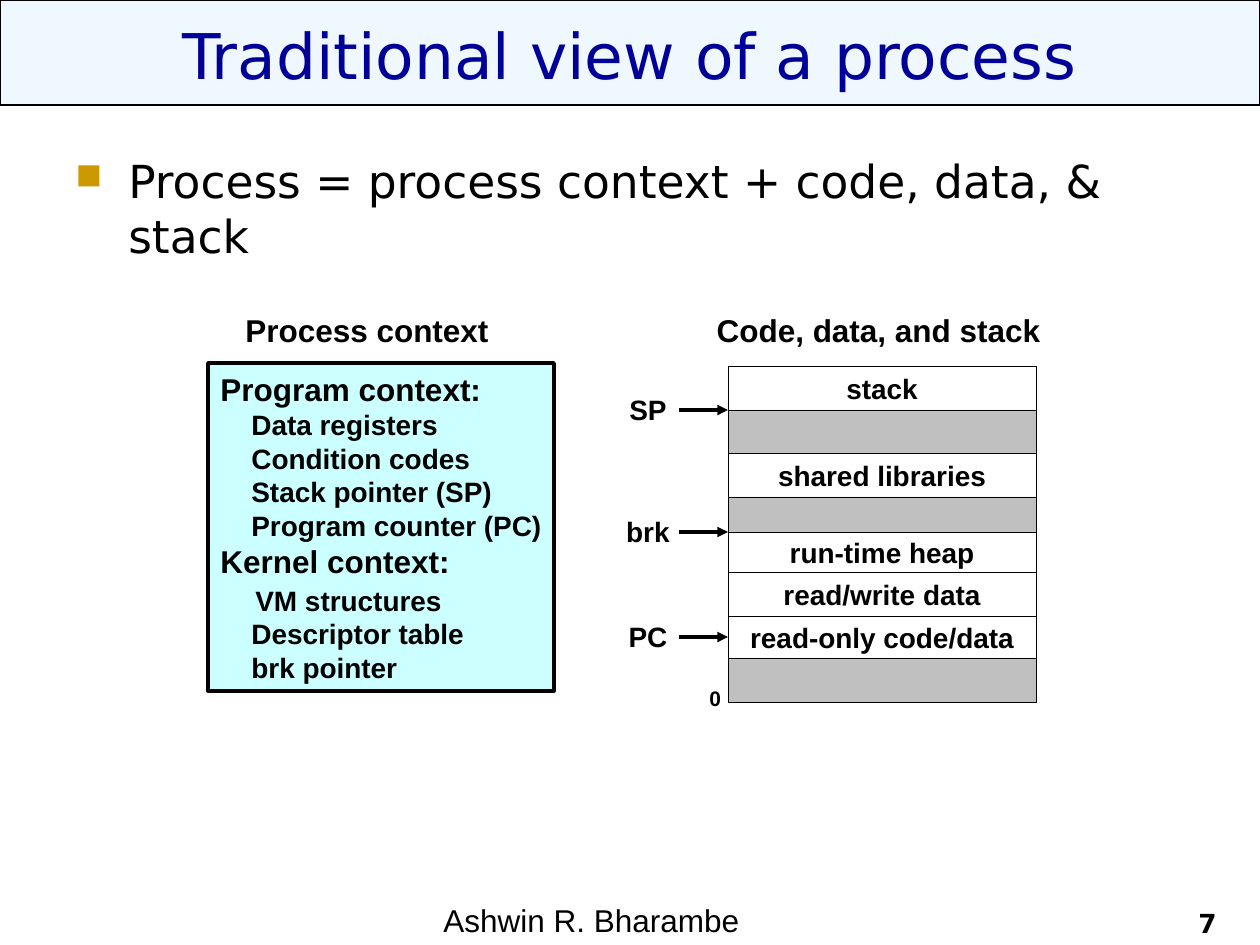
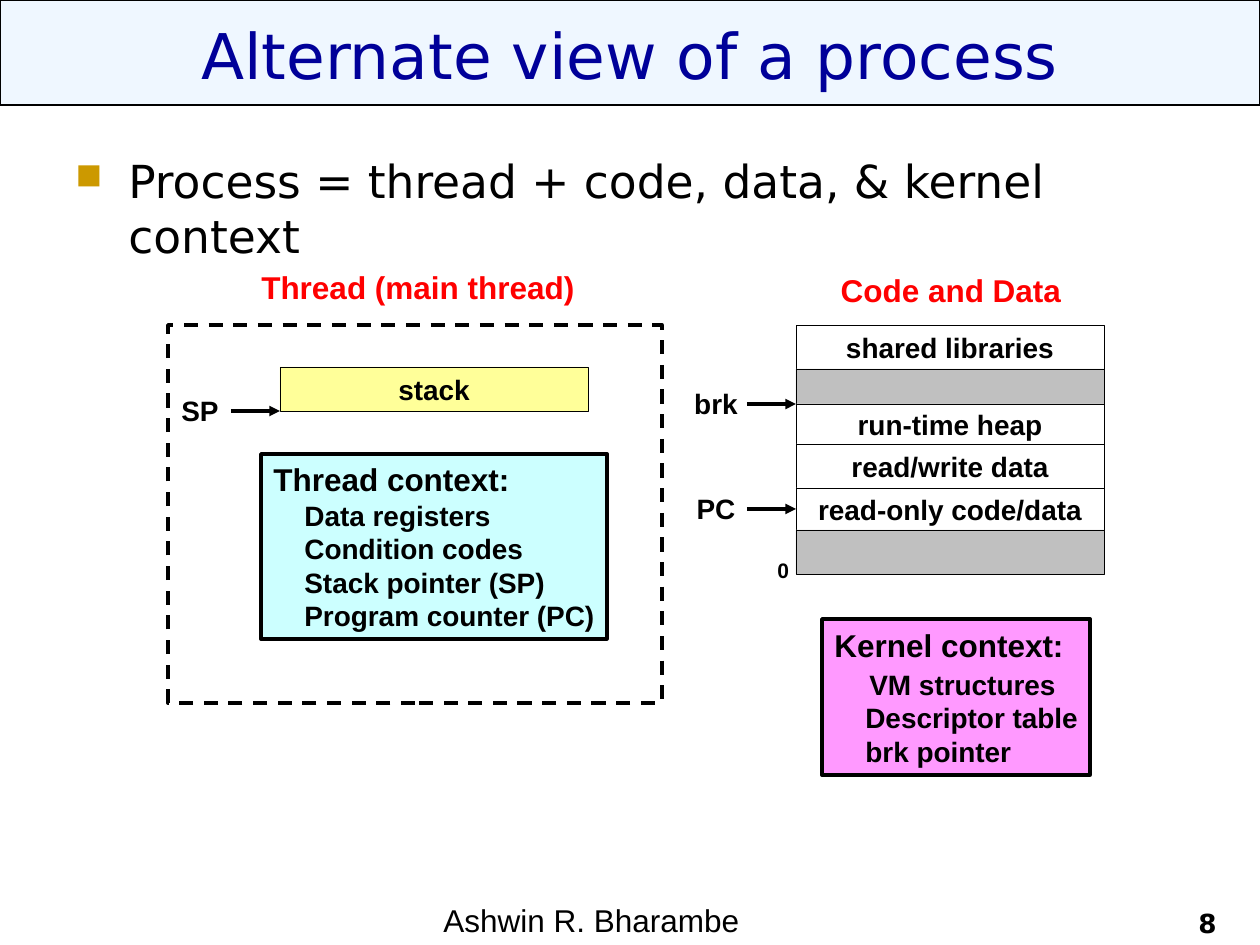
from dataclasses import dataclass

from lxml import etree
from pptx import Presentation
from pptx.dml.color import RGBColor
from pptx.enum.dml import MSO_LINE
from pptx.enum.shapes import MSO_CONNECTOR, MSO_SHAPE
from pptx.enum.text import MSO_ANCHOR, MSO_AUTO_SIZE, PP_ALIGN
from pptx.oxml.ns import qn
from pptx.util import Emu, Pt

RECTANGLE, STRAIGHT, DASH = MSO_SHAPE.RECTANGLE, MSO_CONNECTOR.STRAIGHT, MSO_LINE.DASH
TOP, MIDDLE, BOTTOM = MSO_ANCHOR.TOP, MSO_ANCHOR.MIDDLE, MSO_ANCHOR.BOTTOM
LEFT, CENTER, RIGHT = PP_ALIGN.LEFT, PP_ALIGN.CENTER, PP_ALIGN.RIGHT
TITLE_ONLY, LEFT_SIDE = 5, 1


@dataclass(frozen=True)
class Theme:
    sans: str = "DejaVu Sans"
    label: str = "Arial"
    ink: str = "000000"
    title: str = "000099"
    band: str = "99CCFF"
    band_opacity: int = 15
    bullet: str = "CC9900"
    accent: str = "FF0000"
    white: str = "FFFFFF"
    gap: str = "C0C0C0"
    yellow: str = "FFFF99"
    cyan: str = "CCFFFF"
    pink: str = "FF99FF"
    title_size: int = 36
    body_size: int = 26
    heading_size: int = 18
    item_size: int = 16
    number_size: int = 15
    zero_size: int = 12
    hairline: float = 0.25
    band_line: float = 0.75
    heavy: float = 2


THEME = Theme()

# Content: context lines are (text, indent px, space before pt)
AUTHOR = "Ashwin R. Bharambe"
FIRST_NUMBER = 7
REGISTERS = [("Data registers", 31, 0), ("Condition codes", 31, 0),
             ("Stack pointer (SP)", 31, 0), ("Program counter (PC)", 31, 0)]
KERNEL = [("VM structures", 35, 2), ("Descriptor table", 31, 0), ("brk pointer", 31, 0)]

# Memory rows are (text, height, fill), top to bottom
STACK = ("stack", 44, THEME.white)
CODE_AND_DATA = [
    ("shared libraries", 44, THEME.white), ("", 35, THEME.gap),
    ("run-time heap", 40, THEME.white), ("read/write data", 44, THEME.white),
    ("read-only code/data", 42, THEME.white), ("", 44, THEME.gap),
]

# Pointers are (label, row they mark, where on that row: 0 top, 0.5 middle, 1 bottom)
SP = ("SP", "stack", 1)
BRK = ("brk", "run-time heap", 0)
PC = ("PC", "read-only code/data", 0.5)

SLIDES = [
    dict(
        title="Traditional view of a process",
        body="Process = process context + code, data, & stack",
        heading_color=THEME.ink,
        headings=[("Process context", (233, 305, 268, 50)),
                  ("Code, data, and stack", (704, 305, 349, 50))],
        frames=[],
        memory=[dict(left=728, top=366, zero=True, pointers=[SP, BRK, PC],
                     rows=[STACK, ("", 43, THEME.gap)] + CODE_AND_DATA)],
        contexts=[((208, 363, 346, 328), THEME.cyan,
                   [("Program context:", REGISTERS), ("Kernel context:", KERNEL)])],
    ),
    dict(
        title="Alternate view of a process",
        body="Process = thread + code, data, & kernel context",
        heading_color=THEME.accent,
        headings=[("Thread (main thread)", (249, 262, 338, 50)),
                  ("Code and Data", (824, 265, 254, 50))],
        frames=[(168, 325, 494, 378)],
        memory=[dict(left=796, top=325, zero=True, pointers=[BRK, PC], rows=CODE_AND_DATA),
                dict(left=280, top=367, zero=False, pointers=[SP],
                     rows=[("stack", 44, THEME.yellow)])],
        contexts=[((261, 454, 346, 185), THEME.cyan, [("Thread context:", REGISTERS)]),
                  ((822, 619, 268, 156), THEME.pink, [("Kernel context:", KERNEL)])],
    ),
]

# Layout, in px
SLIDE_SIZE = (1260, 945)
BAND = (0, 0, 1260, 105)
TITLE = (63, 10, 1134, 95)
BODY = (63, 147, 1134, 611)
FOOTER = (431, 924, 399, 21)
NUMBER = (935, 914, 294, 31)
BODY_INDENT = 53
ROW_WIDTH = 308
ARROW_LENGTH = 49
POINTER_LABEL = (68, 47)
POINTER_LABEL_OFFSET = 80
ZERO_LABEL = (37, 38)


def px(length):
    return Emu(round(length * 914400 / 126))


def rgb(color):
    return RGBColor.from_string(color)


def style(para, size, font=THEME.label, color=THEME.ink, bold=True, align=LEFT):
    para.alignment = align
    para.font.name, para.font.size, para.font.bold = font, Pt(size), bold
    para.font.color.rgb = rgb(color)


def prepare(frame, anchor, wrap):
    frame.auto_size = MSO_AUTO_SIZE.NONE
    frame.vertical_anchor = anchor
    frame.word_wrap = wrap


def add_text(page, place, text, size, anchor=MIDDLE, wrap=False, **look):
    box = page.shapes.add_textbox(*map(px, place))
    prepare(box.text_frame, anchor, wrap)
    para = box.text_frame.paragraphs[0]
    para.text = text
    style(para, size, **look)
    return para


def add_box(page, place, fill, width):
    box = page.shapes.add_shape(RECTANGLE, *map(px, place))
    box.shadow.inherit = False
    if fill:
        box.fill.solid()
        box.fill.fore_color.rgb = rgb(fill)
    else:
        box.fill.background()
    box.line.color.rgb = rgb(THEME.ink)
    box.line.width = Pt(width)
    return box


def add_band(page):
    band = add_box(page, BAND, THEME.band, THEME.band_line)
    color = band.element.spPr.find(qn("a:solidFill"))[0]
    etree.SubElement(color, qn("a:alpha"), val=str(THEME.band_opacity * 1000))
    band.element.getparent().insert(2, band.element)  # behind the title


def add_title(page, text):
    title = page.shapes.title
    title.left, title.top, title.width, title.height = map(px, TITLE)
    prepare(title.text_frame, TOP, True)
    para = title.text_frame.paragraphs[0]
    para.text = text
    style(para, THEME.title_size, THEME.sans, THEME.title, False, CENTER)


def add_body(page, text):
    para = add_text(page, BODY, text, THEME.body_size, TOP, True,
                    font=THEME.sans, bold=False)
    para.space_before = Pt(6.5)
    props = para._p.get_or_add_pPr()
    props.set("marL", str(px(BODY_INDENT)))
    props.set("indent", str(-px(BODY_INDENT)))
    defaults = props.find(qn("a:defRPr"))
    bullet_color = etree.Element(qn("a:buClr"))
    etree.SubElement(bullet_color, qn("a:srgbClr"), val=THEME.bullet)
    for part in (bullet_color, etree.Element(qn("a:buSzPct"), val="80000"),
                 etree.Element(qn("a:buChar"), char="■")):
        defaults.addprevious(part)


def add_arrow(page, left, y):
    arrow = page.shapes.add_connector(
        STRAIGHT, px(left - ARROW_LENGTH), px(y), px(left), px(y))
    arrow.line.color.rgb = rgb(THEME.ink)
    arrow.line.width = Pt(THEME.heavy)
    etree.SubElement(arrow.line._get_or_add_ln(), qn("a:tailEnd"), type="triangle")
    etree.SubElement(arrow._element.spPr, qn("a:effectLst"))
    return arrow


def add_memory(page, left, top, rows, pointers, zero):
    # Stacked rows
    placed, y = {}, top
    for text, height, fill in rows:
        box = add_box(page, (left, y, ROW_WIDTH, height), fill, THEME.hairline)
        if text:
            prepare(box.text_frame, MIDDLE, False)
            para = box.text_frame.paragraphs[0]
            para.text = text
            style(para, THEME.item_size, align=CENTER)
            placed[text] = box, y, height
        y += height
    # Address zero at the foot
    if zero:
        add_text(page, (left - 31, y - 23, *ZERO_LABEL), "0", THEME.zero_size, TOP)
    # Labelled pointers
    width, label_height = POINTER_LABEL
    for label, row, share in pointers:
        box, row_top, height = placed[row]
        point = row_top + share * height
        place = (left - POINTER_LABEL_OFFSET - width / 2, point - 1 - label_height / 2,
                 width, label_height)
        add_text(page, place, label, THEME.item_size, align=CENTER)
        arrow = add_arrow(page, left, point)
        if share == 0.5:
            arrow.end_connect(box, LEFT_SIDE)


def add_context(page, place, fill, groups):
    frame = add_box(page, place, fill, THEME.heavy).text_frame
    prepare(frame, MIDDLE, True)
    frame.margin_right = 0
    lines = []
    for heading, items in groups:
        lines.append((heading, 0, 0, THEME.heading_size))
        lines += [(*item, THEME.item_size) for item in items]
    for index, (text, indent, before, size) in enumerate(lines):
        para = frame.add_paragraph() if index else frame.paragraphs[0]
        para.text = text
        para.space_before = Pt(before)
        para._p.get_or_add_pPr().set("marL", str(px(indent)))
        style(para, size)


def build_slide(deck, number, content):
    page = deck.slides.add_slide(deck.slide_layouts[TITLE_ONLY])
    add_band(page)
    add_title(page, content["title"])
    add_body(page, content["body"])
    for place in content["frames"]:
        add_box(page, place, None, THEME.heavy).line.dash_style = DASH
    for text, place in content["headings"]:
        add_text(page, place, text, THEME.heading_size,
                 color=content["heading_color"], align=CENTER)
    for column in content["memory"]:
        add_memory(page, **column)
    for context in content["contexts"]:
        add_context(page, *context)
    add_text(page, FOOTER, AUTHOR, THEME.heading_size, BOTTOM, True, bold=False)
    add_text(page, NUMBER, str(number), THEME.number_size, BOTTOM, True,
             font=THEME.sans, align=RIGHT)


def main():
    deck = Presentation()
    deck.slide_width, deck.slide_height = map(px, SLIDE_SIZE)
    for number, content in enumerate(SLIDES, FIRST_NUMBER):
        build_slide(deck, number, content)
    deck.save("out.pptx")


if __name__ == "__main__":
    main()
